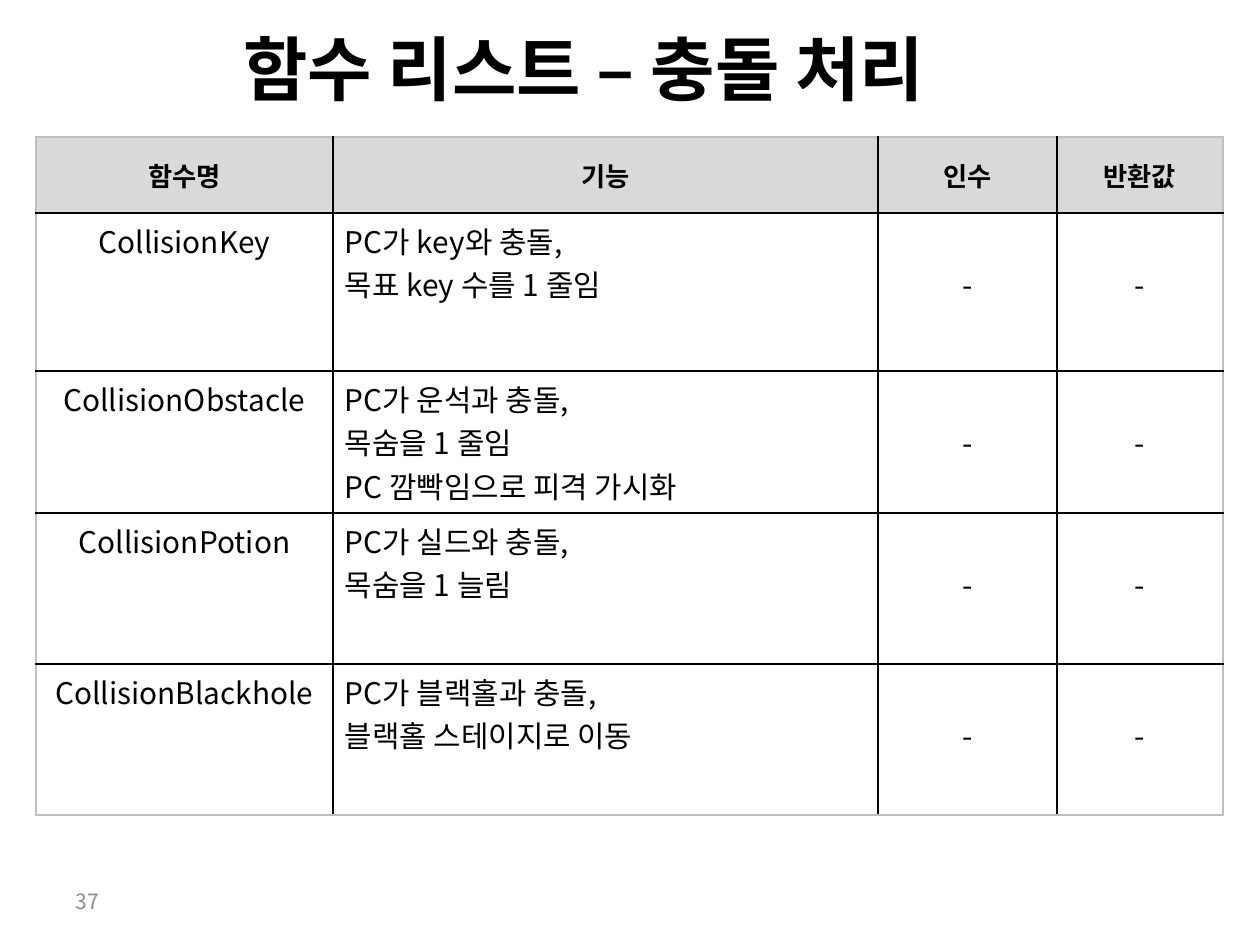
from lxml.etree import SubElement
from pptx import Presentation
from pptx.dml.color import RGBColor
from pptx.enum.text import MSO_ANCHOR as Anchor, PP_ALIGN as Align
from pptx.oxml.ns import qn
from pptx.util import Emu, Pt

PX = 914400 // 126
FONT = "Noto Sans CJK KR"
BLACK = RGBColor(0x00, 0x00, 0x00)
GREY = RGBColor(0x8C, 0x8C, 0x8C)
HEADER_FILL = RGBColor(0xD9, 0xD9, 0xD9)
OUTER_LINE = RGBColor(0xBF, 0xBF, 0xBF)


def write(frame, text, size, color=BLACK, bold=False, align=Align.LEFT):
    frame.text = text
    for paragraph in frame.paragraphs:
        paragraph.alignment = align
        for run in paragraph.runs:
            run.font.name = FONT
            run.font.size = Pt(size)
            run.font.bold = bold
            run.font.color.rgb = color
            SubElement(run.font._element, qn("a:ea"), typeface=FONT)


def add_border(cell, side, color):
    """Draw a 1 pt line on one side (L, R, T or B) of the cell."""
    line = SubElement(cell._tc.get_or_add_tcPr(), qn(f"a:ln{side}"), w=str(Pt(1)))
    fill = SubElement(line, qn("a:solidFill"))
    SubElement(fill, qn("a:srgbClr"), val=str(color))


prs = Presentation()
prs.slide_width = Emu(1260 * PX)
prs.slide_height = Emu(945 * PX)
slide = prs.slides.add_slide(prs.slide_layouts[6])

page_number = slide.shapes.add_textbox(63 * PX, 876 * PX, 294 * PX, 50 * PX).text_frame
page_number.word_wrap = True
page_number.vertical_anchor = Anchor.MIDDLE
write(page_number, "37", 12, GREY)

headings = ["함수명", "기능", "인수", "반환값"]
functions = [
    ("CollisionKey", "PC가 key와 충돌,\n목표 key 수를 1 줄임"),
    ("CollisionObstacle", "PC가 운석과 충돌,\n목숨을 1 줄임\nPC 깜빡임으로 피격 가시화"),
    ("CollisionPotion", "PC가 실드와 충돌,\n목숨을 1 늘림"),
    ("CollisionBlackhole", "PC가 블랙홀과 충돌,\n블랙홀 스테이지로 이동"),
]
rows = [headings] + [[name, purpose, "-", "-"] for name, purpose in functions]
column_widths = [297, 545, 179, 166]
row_heights = [76, 158, 142, 151, 151]

function_table = slide.shapes.add_table(
    len(rows), len(headings), 36 * PX, 137 * PX,
    sum(column_widths) * PX, sum(row_heights) * PX).table
for column, width in zip(function_table.columns, column_widths):
    column.width = Emu(width * PX)
for row, height in zip(function_table.rows, row_heights):
    row.height = Emu(height * PX)

last_row, last_column = len(rows) - 1, len(headings) - 1
for r, values in enumerate(rows):
    for c, value in enumerate(values):
        cell = function_table.cell(r, c)
        is_header = r == 0
        cell.margin_left = cell.margin_right = Emu(12 * PX)
        # Dashes sit on the second text line of their row
        cell.margin_top = Emu((49 if value == "-" else 6) * PX)
        cell.margin_bottom = Emu(6 * PX)
        cell.vertical_anchor = Anchor.MIDDLE if is_header else Anchor.TOP
        write(cell.text_frame, value, 15 if is_header else 17, bold=is_header,
              align=Align.LEFT if c == 1 and not is_header else Align.CENTER)
        for side, is_outer in (("L", c == 0), ("R", c == last_column),
                               ("T", r == 0), ("B", r == last_row)):
            add_border(cell, side, OUTER_LINE if is_outer else BLACK)
        if is_header:
            cell.fill.solid()
            cell.fill.fore_color.rgb = HEADER_FILL
        else:
            cell.fill.background()

title = slide.shapes.add_textbox(231 * PX, 19 * PX, 799 * PX, 97 * PX).text_frame
title.word_wrap = True
title.vertical_anchor = Anchor.MIDDLE
write(title, "함수 리스트 – 충돌 처리", 40, bold=True)

prs.save("out.pptx")
